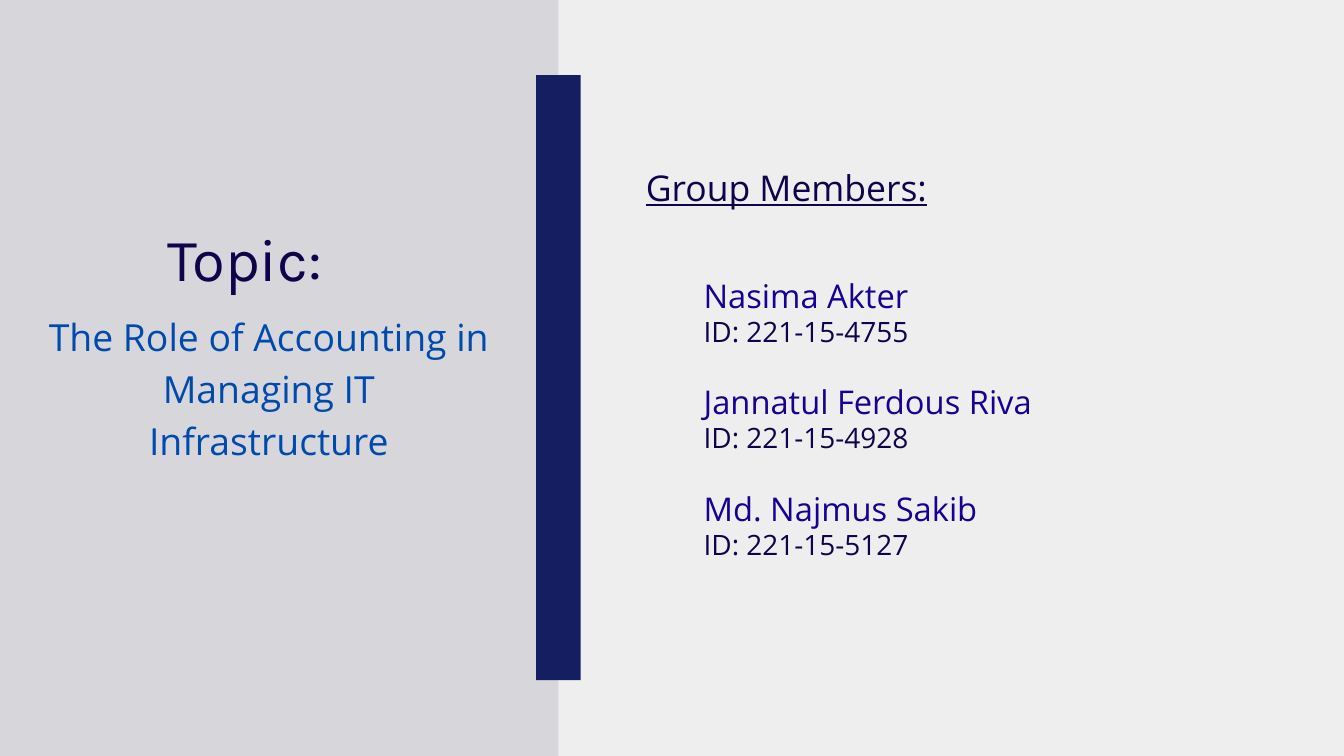
from pptx import Presentation
from pptx.dml.color import RGBColor
from pptx.enum.shapes import MSO_SHAPE
from pptx.enum.text import MSO_AUTO_SIZE, PP_ALIGN
from pptx.util import Inches, Pt

COLS, ROWS = 20, 11.25  # square grid, one inch per cell
NAVY, DARK, VIOLET, BLUE = "141E61", "0F044C", "170094", "004AAD"
LIGHT, GREY = "EEEEEE", "D6D6DB"


def color(code):
    return RGBColor.from_string(code)


class Deck:
    font = "Open Sans"
    lead = 1.4  # line pitch as a multiple of the text size

    def __init__(self):
        self.prs = Presentation()
        self.prs.slide_width = Inches(COLS)
        self.prs.slide_height = Inches(ROWS)
        self.slide = self.prs.slides.add_slide(self.prs.slide_layouts[6])
        fill = self.slide.background.fill
        fill.solid()
        fill.fore_color.rgb = color(LIGHT)

    def cells(self, *box):
        return [Inches(n) for n in box]

    def block(self, *box, fill):
        shape = self.slide.shapes.add_shape(MSO_SHAPE.RECTANGLE, *self.cells(*box))
        shape.shadow.inherit = False
        shape.fill.solid()
        shape.fill.fore_color.rgb = color(fill)
        shape.line.fill.background()

    def text(self, words, *box, size, ink=DARK, font=None, lead=None,
             align=PP_ALIGN.LEFT, under=False):
        frame = self.slide.shapes.add_textbox(*self.cells(*box)).text_frame
        frame.word_wrap = True
        frame.auto_size = MSO_AUTO_SIZE.SHAPE_TO_FIT_TEXT
        frame.margin_left = frame.margin_right = 0
        frame.margin_top = frame.margin_bottom = 0
        para = frame.paragraphs[0]
        para.alignment = align
        para.line_spacing = Pt(size * (lead or self.lead))
        run = para.add_run()
        run.text = words
        run.font.name = font or self.font
        run.font.size = Pt(size)
        run.font.color.rgb = color(ink)
        if under:
            run.font.underline = True

    def save(self):
        self.prs.save("out.pptx")


def main():
    deck = Deck()

    # Left panel and the bar over its edge
    deck.block(0, 0, 8.31, ROWS, fill=GREY)
    deck.block(7.98, 1.12, 0.66, 9, fill=NAVY)

    # Topic
    deck.text("Topic:", 2.49, 3.3, 4.53, 1.06, size=64, font="Karla", lead=1.2)
    deck.text("The Role of Accounting in Managing IT Infrastructure",
              0.69, 4.56, 6.62, 2.28, size=40, ink=BLUE, align=PP_ALIGN.CENTER)

    # Group members, one name and ID per step
    deck.text("Group Members:", 9.61, 2.37, 4.53, 0.71, size=38, under=True)
    team = [
        ("Nasima Akter", "221-15-4755"),
        ("Jannatul Ferdous Riva", "221-15-4928"),
        ("Md. Najmus Sakib", "221-15-5127"),
    ]
    left, top, step = 10.47, 4.01, 1.58
    for i, (name, code) in enumerate(team):
        row = top + i * step
        deck.text(name, left, row, 5.47, 0.64, size=35, ink=VIOLET)
        deck.text(f"ID: {code}", left, row + 0.59, 9.06, 0.54, size=30)

    deck.save()


if __name__ == "__main__":
    main()
